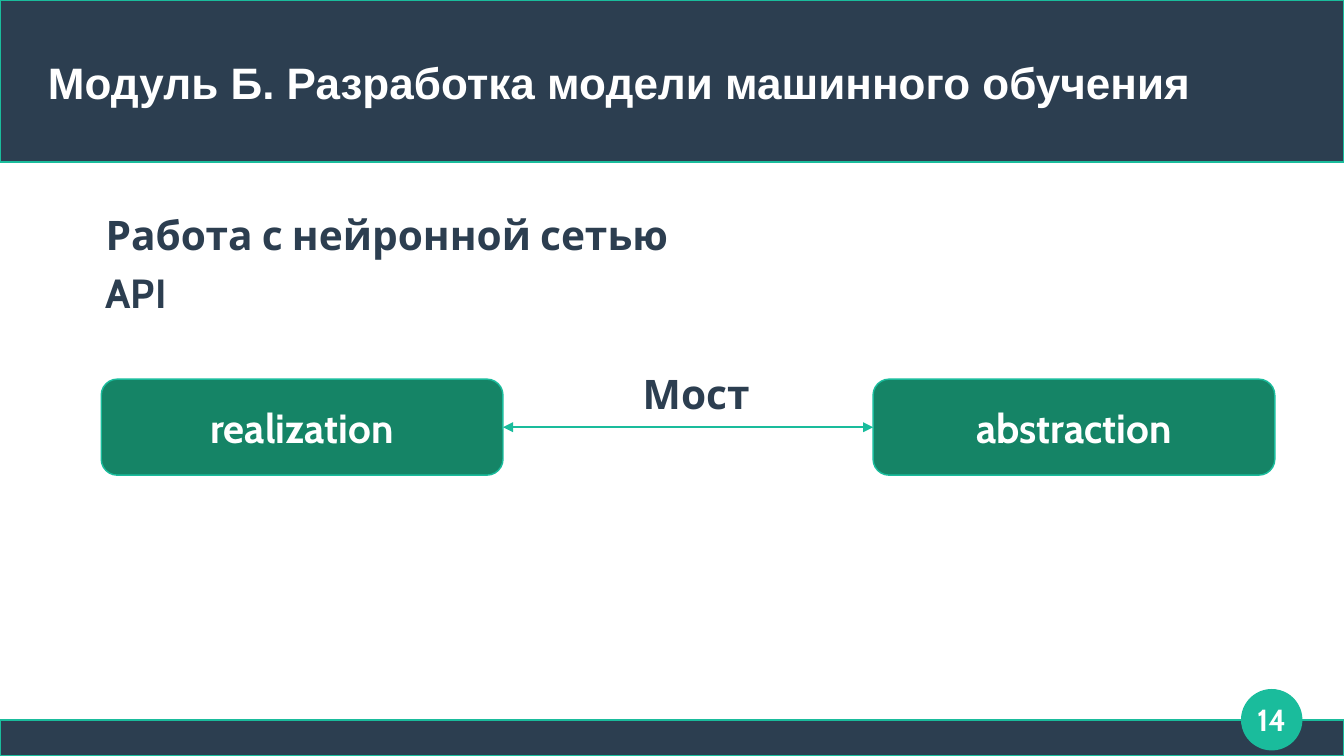
from dataclasses import dataclass

from lxml import etree
from pptx import Presentation
from pptx.dml.color import RGBColor
from pptx.enum.shapes import MSO_CONNECTOR, MSO_SHAPE
from pptx.enum.text import MSO_ANCHOR, PP_ALIGN
from pptx.oxml.ns import qn
from pptx.shapes.base import BaseShape
from pptx.slide import Slide
from pptx.text.text import TextFrame
from pptx.util import Cm, Pt

RECTANGLE = MSO_SHAPE.RECTANGLE
ROUNDED = MSO_SHAPE.ROUNDED_RECTANGLE
OVAL = MSO_SHAPE.OVAL
STRAIGHT = MSO_CONNECTOR.STRAIGHT
LEFT = PP_ALIGN.LEFT
CENTER = PP_ALIGN.CENTER
TOP = MSO_ANCHOR.TOP
MIDDLE = MSO_ANCHOR.MIDDLE


@dataclass(frozen=True)
class Theme:
    navy: RGBColor = RGBColor(0x2C, 0x3E, 0x50)
    teal: RGBColor = RGBColor(0x1A, 0xBC, 0x9C)
    green: RGBColor = RGBColor(0x15, 0x84, 0x66)
    white: RGBColor = RGBColor(0xFF, 0xFF, 0xFF)
    title_font: str = "Arial"
    body_font: str = "Cabin"
    title_size: float = 26
    body_size: float = 24
    number_size: float = 18
    line_width: float = 0.85


THEME = Theme()


@dataclass(frozen=True)
class Area:
    left: float
    top: float
    width: float
    height: float

    def lengths(self) -> tuple[Cm, Cm, Cm, Cm]:
        return Cm(self.left), Cm(self.top), Cm(self.width), Cm(self.height)


@dataclass(frozen=True)
class Label:
    text: str
    color: RGBColor
    size: float = THEME.body_size
    font: str = THEME.body_font
    align: PP_ALIGN = CENTER
    anchor: MSO_ANCHOR = MIDDLE
    spacing: float = 1.0


@dataclass(frozen=True)
class Panel:
    area: Area
    outline: MSO_SHAPE
    fill: RGBColor
    label: Label | None = None


@dataclass(frozen=True)
class Caption:
    area: Area
    label: Label


def write_label(frame: TextFrame, label: Label) -> None:
    paragraph = frame.paragraphs[0]
    run = paragraph.add_run()
    formats = {
        frame: {
            "word_wrap": True,
            "vertical_anchor": label.anchor,
            "margin_left": 0,
            "margin_right": 0,
            "margin_top": 0,
            "margin_bottom": 0,
        },
        paragraph: {"alignment": label.align, "line_spacing": label.spacing},
        run: {"text": label.text},
        run.font: {"name": label.font, "size": Pt(label.size), "bold": True},
        run.font.color: {"rgb": label.color},
    }
    for target, values in formats.items():
        for attribute, value in values.items():
            setattr(target, attribute, value)


def draw_panel(slide: Slide, panel: Panel) -> BaseShape:
    shape = slide.shapes.add_shape(panel.outline, *panel.area.lengths())
    shape.shadow.inherit = False
    shape.fill.solid()
    shape.fill.fore_color.rgb = panel.fill
    shape.line.color.rgb = THEME.teal
    shape.line.width = Pt(THEME.line_width)
    if panel.label:
        write_label(shape.text_frame, panel.label)
    return shape


def draw_caption(slide: Slide, caption: Caption) -> None:
    box = slide.shapes.add_textbox(*caption.area.lengths())
    write_label(box.text_frame, caption.label)


def draw_bridge(slide: Slide, start: BaseShape, end: BaseShape) -> None:
    bridge = slide.shapes.add_connector(STRAIGHT, 0, 0, 0, 0)
    bridge.begin_connect(start, 3)
    bridge.end_connect(end, 1)
    bridge.line.color.rgb = THEME.teal
    bridge.line.width = Pt(THEME.line_width)
    outline = bridge.line._get_or_add_ln()
    for arrowhead in ("a:headEnd", "a:tailEnd"):
        etree.SubElement(outline, qn(arrowhead), type="triangle")
    etree.SubElement(bridge._element.spPr, qn("a:effectLst"))


SLIDE_WIDTH, SLIDE_HEIGHT = 28, 15.75
FOOTER_HEIGHT = 0.75
BLOCK_TOP, BLOCK_WIDTH, BLOCK_HEIGHT = 7.9, 8.37, 2

FRAME = (
    Panel(
        Area(0, SLIDE_HEIGHT - FOOTER_HEIGHT, SLIDE_WIDTH, FOOTER_HEIGHT),
        RECTANGLE,
        THEME.navy,
    ),
    Panel(Area(0, 0, SLIDE_WIDTH, 3.38), RECTANGLE, THEME.navy),
    Panel(
        Area(25.87, 14.37, 1.25, 1.25),
        OVAL,
        THEME.teal,
        Label("14", THEME.white, THEME.number_size),
    ),
)
CAPTIONS = (
    Caption(
        Area(1, 0.63, 26, 2),
        Label(
            "Модуль Б. Разработка модели машинного обучения",
            THEME.white,
            THEME.title_size,
            THEME.title_font,
            LEFT,
            spacing=1.15,
        ),
    ),
    Caption(
        Area(2.2, 4.37, 20.33, 1.57),
        Label("Работа с нейронной сетью", THEME.navy, align=LEFT, anchor=TOP),
    ),
    Caption(Area(2.2, 5.1, 7.8, 1.96), Label("API", THEME.navy, align=LEFT)),
    Caption(Area(12.37, 7.47, 4.27, 1.45), Label("Мост", THEME.navy)),
)
BLOCKS = tuple(
    Panel(
        Area(left, BLOCK_TOP, BLOCK_WIDTH, BLOCK_HEIGHT),
        ROUNDED,
        THEME.green,
        Label(name, THEME.white),
    )
    for left, name in ((2.11, "realization"), (18.19, "abstraction"))
)


def main() -> None:
    deck = Presentation()
    deck.slide_width, deck.slide_height = Cm(SLIDE_WIDTH), Cm(SLIDE_HEIGHT)
    slide = deck.slides.add_slide(deck.slide_layouts[6])
    for panel in FRAME:
        draw_panel(slide, panel)
    for caption in CAPTIONS:
        draw_caption(slide, caption)
    realization, abstraction = [draw_panel(slide, block) for block in BLOCKS]
    draw_bridge(slide, realization, abstraction)
    deck.save("out.pptx")


if __name__ == "__main__":
    main()
